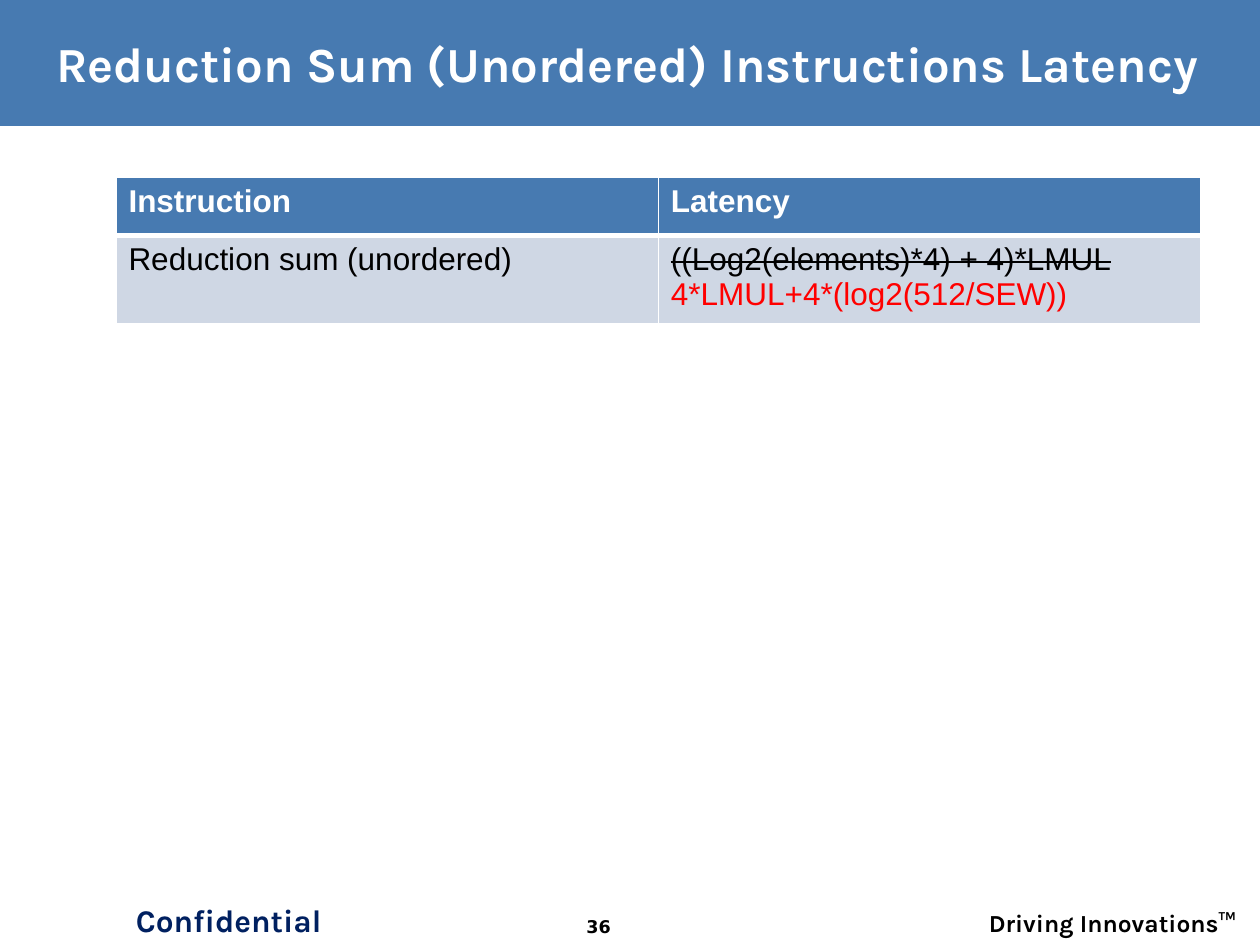
from lxml import etree
from pptx import Presentation
from pptx.dml.color import RGBColor
from pptx.enum.shapes import MSO_SHAPE
from pptx.enum.text import MSO_ANCHOR, PP_ALIGN
from pptx.oxml.ns import qn
from pptx.util import Inches, Pt

RECT = MSO_SHAPE.RECTANGLE
TOP, MIDDLE = MSO_ANCHOR.TOP, MSO_ANCHOR.MIDDLE
LEFT, CENTER, RIGHT = PP_ALIGN.LEFT, PP_ALIGN.CENTER, PP_ALIGN.RIGHT

BLUE = RGBColor(0x47, 0x7A, 0xB1)
NAVY = RGBColor(0x00, 0x20, 0x60)
PALE = RGBColor(0xCF, 0xD7, 0xE4)
WHITE = RGBColor(0xFF, 0xFF, 0xFF)
BLACK = RGBColor(0x00, 0x00, 0x00)
RED = RGBColor(0xFF, 0x00, 0x00)


def write(para, text, size=18, font="Arial", color=BLACK, bold=False,
          align=LEFT, strike=False, shadow=False):
    para.alignment = align
    run = para.add_run()
    run.text = text
    run.font.size = Pt(size)
    run.font.name = font
    run.font.bold = bold
    run.font.color.rgb = color
    props = run.font._element
    if strike:
        props.set("strike", "sngStrike")
    if shadow:
        effects = etree.Element(qn("a:effectLst"))
        outer = etree.SubElement(effects, qn("a:outerShdw"),
                                 dist=str(Inches(0.03)), dir="2700000")
        etree.SubElement(outer, qn("a:srgbClr"), val=str(BLACK))
        props.find(qn("a:solidFill")).addnext(effects)


def add_label(slide, box, text, anchor=TOP, **style):
    frame = slide.shapes.add_textbox(*map(Inches, box)).text_frame
    frame.word_wrap = True
    frame.vertical_anchor = anchor
    write(frame.paragraphs[0], text, **style)


def add_header(slide, box, text):
    left, top, width, height = box
    band = slide.shapes.add_shape(RECT, *map(Inches, box))
    band.shadow.inherit = False
    band.fill.solid()
    band.fill.fore_color.rgb = BLUE
    band.line.fill.background()
    add_label(slide, (left + 0.22, top + 0.17, width - 0.49, height - 0.34),
              text, anchor=MIDDLE, size=28, font="Karla", color=WHITE,
              bold=True, align=CENTER, shadow=True)


def set_borders(cell, bottom=1, top=1):
    props = cell._tc.get_or_add_tcPr()
    sides = (("lnL", 1), ("lnR", 1), ("lnT", top), ("lnB", bottom))
    for place, (side, width) in enumerate(sides):
        line = etree.Element(qn("a:" + side), w=str(Pt(width)))
        fill = etree.SubElement(line, qn("a:solidFill"))
        etree.SubElement(fill, qn("a:srgbClr"), val=str(WHITE))
        props.insert(place, line)


def add_latency(slide, box):
    """Place the instruction and latency table."""
    head = {"color": WHITE, "bold": True}
    rows = (
        ([("Instruction", head)], [("Latency", head)]),
        ([("Reduction sum (unordered)", {})],
         [("((Log2(elements)*4) + 4)*LMUL", {"strike": True}),
          ("4*LMUL+4*(log2(512/SEW))", {"color": RED})]),
    )
    table = slide.shapes.add_table(2, 2, *map(Inches, box)).table
    table.rows[0].height = Inches(0.46)
    table.rows[1].height = Inches(box[3] - 0.46)
    for r, row in enumerate(rows):
        for c, lines in enumerate(row):
            cell = table.cell(r, c)
            cell.fill.solid()
            cell.fill.fore_color.rgb = PALE if r else BLUE
            set_borders(cell, bottom=1 if r else 3, top=3 if r else 1)
            frame = cell.text_frame
            for i, (text, style) in enumerate(lines):
                para = frame.add_paragraph() if i else frame.paragraphs[0]
                write(para, text, **style)


def add_footer(slide, box):
    left, top, width, _ = box
    add_label(slide, (left + 0.94, top, 1.75, 0.42), "Confidential",
              font="Karla", color=NAVY, bold=True, align=CENTER)
    add_label(slide, (left + 4.29, top + 0.12, 0.92, 0.28), "36", size=10,
              font="DejaVu Sans", bold=True, align=CENTER)
    add_label(slide, (left + width - 2.46, top + 0.06, 2.37, 0.27),
              "Driving Innovations™", size=14, font="Karla", bold=True,
              align=RIGHT)


def main():
    deck = Presentation()
    deck.slide_width, deck.slide_height = Inches(10), Inches(7.5)
    slide = deck.slides.add_slide(deck.slide_layouts[6])
    add_header(slide, (0, 0, 10, 1),
               "Reduction Sum (Unordered) Instructions Latency")
    add_footer(slide, (0, 7.1, 10, 0.4))
    add_latency(slide, (0.92, 1.41, 8.61, 1.12))
    deck.save("out.pptx")


if __name__ == "__main__":
    main()
